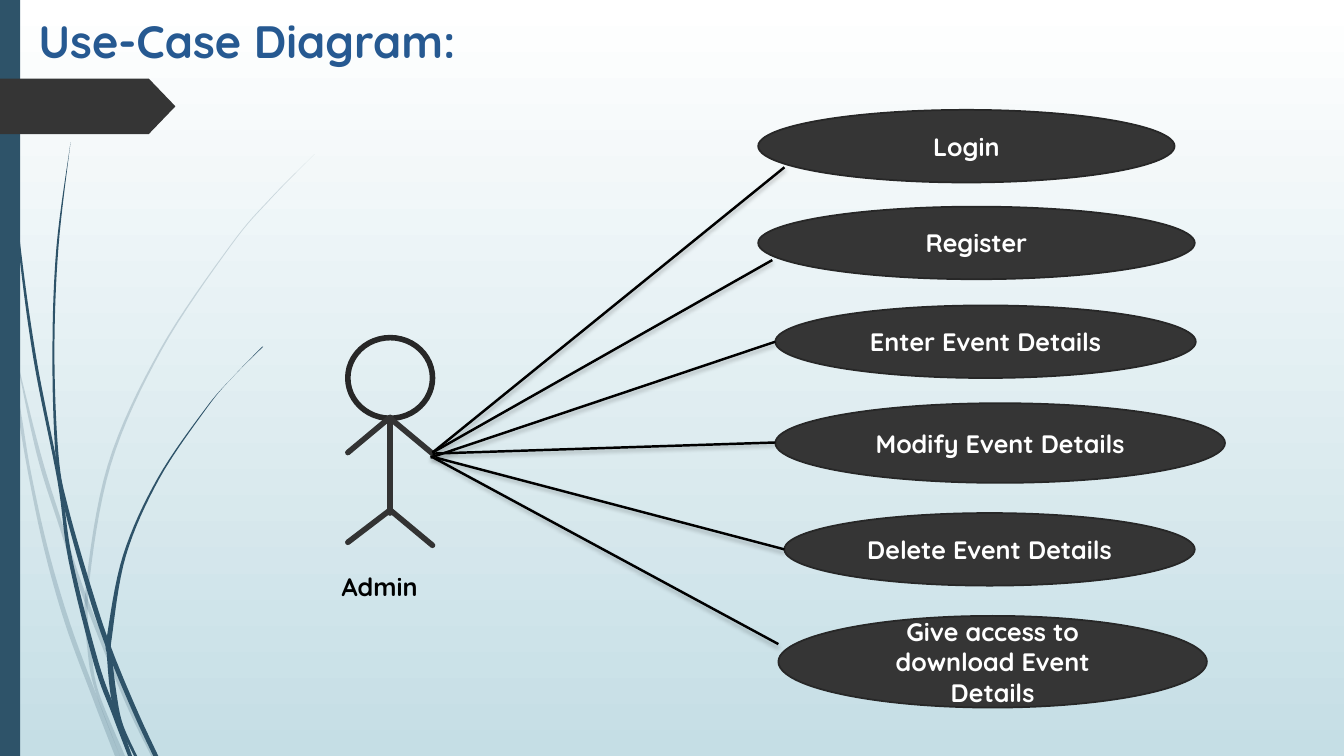
from dataclasses import dataclass

from lxml.etree import SubElement
from pptx import Presentation
from pptx.dml.color import RGBColor
from pptx.enum.shapes import MSO_CONNECTOR, MSO_SHAPE
from pptx.enum.text import MSO_ANCHOR, PP_ALIGN
from pptx.oxml.ns import qn
from pptx.util import Inches, Pt


@dataclass(frozen=True)
class Theme:
    font: str = "Quicksand"
    title_size: float = 32.4
    body_size: float = 18
    title: str = "265991"
    accent: str = "2E5369"
    dark: str = "353535"
    outline: str = "272727"
    limb: str = "333333"
    black: str = "000000"
    white: str = "FFFFFF"
    sky: str = "C5DEE5"
    pale_alpha: int = 20
    shadow_alpha: int = 25


@dataclass(frozen=True)
class Blade:
    """A grass blade; each knot is left x, right x, y."""
    knots: tuple[tuple[float, float, float], ...]
    pale: bool = False


@dataclass(frozen=True)
class UseCase:
    label: str
    box: tuple[float, float, float, float]
    hand: tuple[float, float]
    target: tuple[float, float]


THEME = Theme()

BLADES = (
    Blade(((.11, .11, 3.5), (.18, .21, 4.1), (.28, .31, 4.7), (.44, .48, 5.46),
           (.65, .7, 6.2), (.92, .97, 6.93), (1.14, 1.19, 7.5)), pale=True),
    Blade(((.14, .14, 3.45), (.36, .4, 4.49), (.58, .62, 5.2), (.82, .86, 5.92),
           (1.23, 1.28, 6.94), (1.5, 1.55, 7.5)), pale=True),
    Blade(((3.12, 3.12, 1.53), (2.68, 2.69, 1.97), (2.28, 2.29, 2.44),
           (1.58, 1.6, 3.48), (1.07, 1.1, 4.61), (.85, .88, 5.84),
           (.87, .91, 6.46), (.95, .98, 6.87), (1.19, 1.24, 7.5)), pale=True),
    Blade(((.03, .04, 0), (.07, .08, 1.1), (.17, .19, 2.33), (.33, .36, 3.55),
           (.57, .6, 4.77), (.68, .72, 5.56), (.93, .98, 6.58),
           (1.11, 1.16, 7.08), (1.27, 1.31, 7.5))),
    Blade(((.7, .7, 1.41), (.56, .58, 2.45), (.52, .54, 3.49), (.55, .58, 4.51),
           (.64, .68, 5.05), (.88, .93, 5.91), (1.07, 1.12, 6.47),
           (1.32, 1.37, 7.07), (1.52, 1.57, 7.5))),
    Blade(((2.6, 2.61, 3.44), (2.31, 2.31, 3.74), (2.04, 2.05, 4.05),
           (1.56, 1.58, 4.75), (1.22, 1.25, 5.51), (1.06, 1.11, 6.32),
           (1.06, 1.11, 6.5), (1.1, 1.16, 6.91), (1.18, 1.22, 7.19),
           (1.33, 1.36, 7.5))),
)

LIMBS = (
    ((3.87, 4.15), (3.87, 5.09)),
    ((3.87, 4.14), (3.45, 4.49)),
    ((3.87, 4.15), (4.29, 4.5)),
    ((3.87, 5.06), (3.45, 5.38)),
    ((3.87, 5.06), (4.29, 5.41)),
)

USE_CASES = (
    UseCase("Login", (7.52, 1.09, 4.13, .72), (4.29, 4.49), (7.78, 1.66)),
    UseCase("Register", (7.52, 2.05, 4.33, .72), (4.29, 4.49), (7.66, 2.58)),
    UseCase("Enter Event Details", (7.69, 3.03, 4.17, .72), (4.27, 4.54), (7.69, 3.39)),
    UseCase("Modify Event Details", (7.69, 4, 4.46, .79), (4.29, 4.5), (7.69, 4.39)),
    UseCase("Delete Event Details", (7.78, 5.09, 4.07, .72), (4.32, 4.54), (7.78, 5.45)),
    UseCase("Give access to download Event Details", (7.72, 6.11, 4.25, .91),
            (4.28, 4.53), (7.72, 6.39)),
)


def rgb(color: str) -> RGBColor:
    return RGBColor.from_string(color)


def style_shape(shape, fill: str | None = None, line: str | None = None,
                width: float = 1.25) -> None:
    shape.shadow.inherit = False
    if fill:
        shape.fill.solid()
        shape.fill.fore_color.rgb = rgb(fill)
    else:
        shape.fill.background()
    if line:
        shape.line.color.rgb = rgb(line)
        shape.line.width = Pt(width)
    else:
        shape.line.fill.background()


def add_preset(slide, kind, box, **style):
    shape = slide.shapes.add_shape(kind, *map(Inches, box))
    style_shape(shape, **style)
    return shape


def write(frame, text: str, color: str, size: float = THEME.body_size,
          align=PP_ALIGN.LEFT, anchor=MSO_ANCHOR.MIDDLE) -> None:
    frame.text = text
    frame.word_wrap = True
    frame.vertical_anchor = anchor
    paragraph = frame.paragraphs[0]
    paragraph.alignment = align
    font = paragraph.font
    font.name, font.size, font.bold = THEME.font, Pt(size), True
    font.color.rgb = rgb(color)


def add_line(slide, start, end, color: str, width: float, shadow: bool = False) -> None:
    line = slide.shapes.add_connector(MSO_CONNECTOR.STRAIGHT, *map(Inches, (*start, *end)))
    line.line.color.rgb = rgb(color)
    line.line.width = Pt(width)
    properties = line._element.spPr
    effects = SubElement(properties, qn("a:effectLst"))
    if shadow:
        outer = SubElement(effects, qn("a:outerShdw"), blurRad=str(Pt(3)),
                           dist=str(Pt(2)), dir=str(90 * 60000), rotWithShape="0")
        tint = SubElement(outer, qn("a:srgbClr"), val=THEME.black)
        SubElement(tint, qn("a:alpha"), val=str(THEME.shadow_alpha * 1000))
    else:
        properties.find(qn("a:ln")).set("cap", "rnd")


def smooth_curve(points, steps: int = 8):
    """Sample a Catmull-Rom spline through the points."""
    padded = [points[0], *points, points[-1]]
    curve = []
    for a, b, c, d in zip(padded, padded[1:], padded[2:], padded[3:]):
        for step in range(steps):
            t = step / steps
            curve.append(tuple(
                (2 * q + (r - p) * t + (2 * p - 5 * q + 4 * r - s) * t ** 2
                 + (3 * q - p - 3 * r + s) * t ** 3) / 2
                for p, q, r, s in zip(a, b, c, d)))
    return [*curve, points[-1]]


def add_blade(slide, blade: Blade) -> None:
    left = smooth_curve([(x, y) for x, _, y in blade.knots])
    right = smooth_curve([(x, y) for _, x, y in blade.knots])
    outline = [(Inches(x), Inches(y)) for x, y in left + right[::-1]]
    builder = slide.shapes.build_freeform(*outline[0])
    builder.add_line_segments(outline[1:], close=True)
    shape = builder.convert_to_shape()
    style_shape(shape, fill=THEME.accent)
    if blade.pale:
        color = shape._element.spPr.find(qn("a:solidFill")).find(qn("a:srgbClr"))
        SubElement(color, qn("a:alpha"), val=str(THEME.pale_alpha * 1000))


def main() -> None:
    deck = Presentation()
    deck.slide_width, deck.slide_height = Inches(13.33), Inches(7.5)
    slide = deck.slides.add_slide(deck.slide_layouts[5])

    # Background
    sky = slide.background.fill
    sky.gradient()
    sky.gradient_angle = 270
    for stop, color in zip(sky.gradient_stops, (THEME.white, THEME.sky)):
        stop.color.rgb = rgb(color)

    # Grass, side bar and arrow tab
    for blade in BLADES:
        add_blade(slide, blade)
    add_preset(slide, MSO_SHAPE.RECTANGLE, (0, 0, .2, 7.5), fill=THEME.accent)
    tab = add_preset(slide, MSO_SHAPE.PENTAGON, (0, .78, 1.74, .55), fill=THEME.dark)
    tab.adjustments[0] = .48

    # Title
    title = slide.shapes.title
    title.left, title.top, title.width, title.height = map(Inches, (.28, .1, 9.75, .61))
    write(title.text_frame, "Use-Case Diagram:", THEME.title, THEME.title_size)

    # Admin figure
    add_preset(slide, MSO_SHAPE.OVAL, (3.45, 3.35, .84, .8), line=THEME.outline, width=4)
    for start, end in LIMBS:
        add_line(slide, start, end, THEME.limb, 4)
    admin = slide.shapes.add_textbox(*map(Inches, (3.29, 5.62, 1.19, .4)))
    write(admin.text_frame, "Admin", THEME.black, anchor=MSO_ANCHOR.TOP)

    # Use cases and their links
    for case in USE_CASES:
        oval = add_preset(slide, MSO_SHAPE.OVAL, case.box, fill=THEME.dark, line=THEME.outline)
        write(oval.text_frame, case.label, THEME.white, align=PP_ALIGN.CENTER)
        add_line(slide, case.hand, case.target, THEME.black, 1.75, shadow=True)

    deck.save("out.pptx")


if __name__ == "__main__":
    main()
